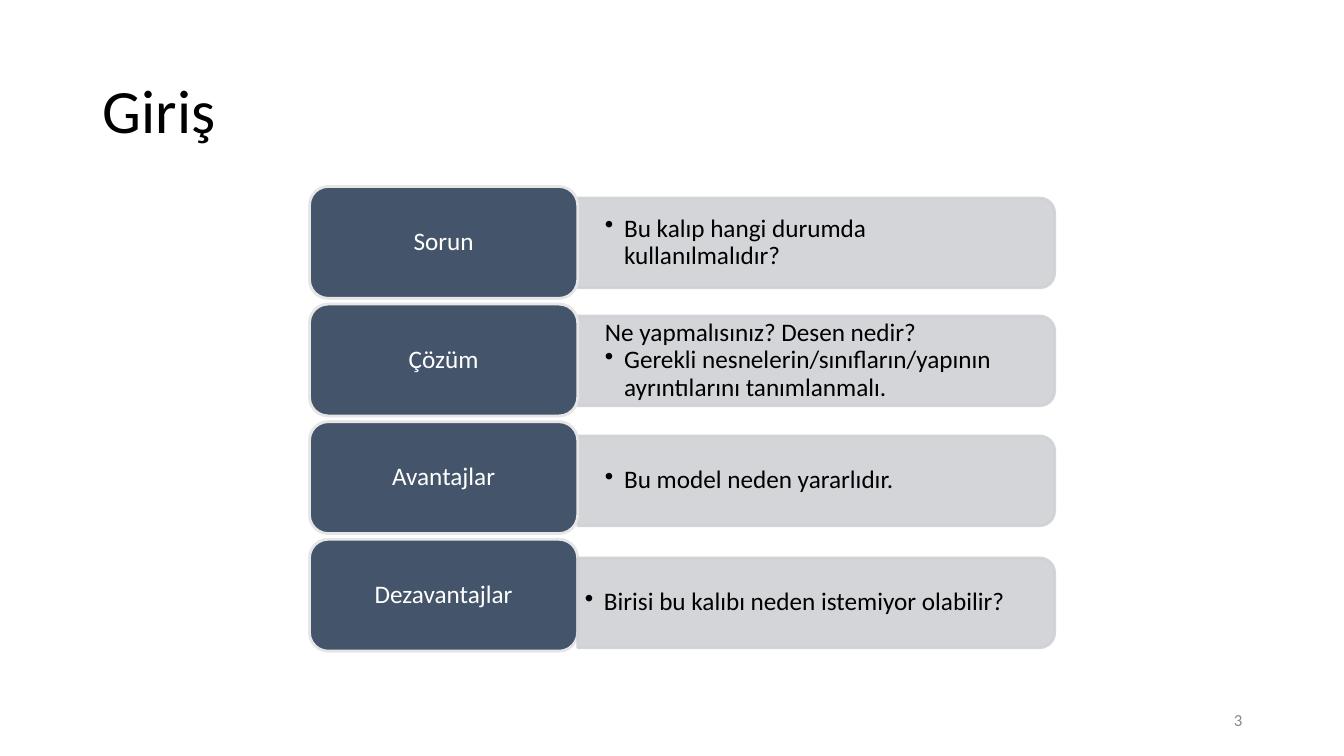
from dataclasses import dataclass

import pptx
import pptx.dml.color
import pptx.enum.shapes
import pptx.enum.text
import pptx.oxml
import pptx.oxml.ns
import pptx.util

Inches = pptx.util.Inches
Pt = pptx.util.Pt
RGB = pptx.dml.color.RGBColor
Kind = pptx.enum.shapes.MSO_SHAPE
Align = pptx.enum.text.PP_ALIGN
Anchor = pptx.enum.text.MSO_ANCHOR
qn = pptx.oxml.ns.qn

BLACK = RGB(0x00, 0x00, 0x00)
WHITE = RGB(0xFF, 0xFF, 0xFF)
GREY = RGB(0x88, 0x88, 0x88)
NAVY = RGB(0x44, 0x54, 0x6A)
PALE = RGB(0xE7, 0xE6, 0xE6)
SILVER = RGB(0xCF, 0xD1, 0xD4)

LABEL_X, LABEL_Y, LABEL_W, LABEL_H = 3.07, 1.85, 2.66, 1.11
PITCH = 3.5 / 3
BAR_X, BAR_W, BAR_H = 5.73, 4.73, 0.89
TEXT_W, TEXT_H = 4.68, 0.8


@dataclass
class Line:
    text: str
    bullet: bool = True


@dataclass
class Row:
    label: str
    lines: list[Line]
    mid: float  # vertical middle of the bar
    pad: tuple[float, float] = (0.27, 0.14)
    front: bool = False  # bar lies over the label


ROWS = [
    Row("Sorun", [Line("Bu kalıp hangi durumda kullanılmalıdır?")], 2.41),
    Row("Çözüm", [
        Line("Ne yapmalısınız? Desen nedir?", False),
        Line("Gerekli nesnelerin/sınıfların/yapının ayrıntılarını tanımlanmalı."),
    ], 3.58),
    Row("Avantajlar", [Line("Bu model neden yararlıdır.")], 4.77),
    Row("Dezavantajlar", [Line("Birisi bu kalıbı neden istemiyor olabilir?")],
        5.98, (0.07, 0.04), True),
]


def apply(item, form: dict) -> None:
    for name, value in form.items():
        setattr(item, name, value)


def set_frame(frame, pad: tuple[float, float] = (0.1, 0.05)) -> None:
    side, edge = map(Inches, pad)
    apply(frame, {
        "word_wrap": True, "vertical_anchor": Anchor.MIDDLE,
        "margin_left": side, "margin_right": side,
        "margin_top": edge, "margin_bottom": edge,
    })


def write(para, text: str, size: int, color: RGB, align=Align.LEFT) -> None:
    apply(para, {"alignment": align, "line_spacing": 0.9})
    run = para.add_run()
    run.text = text
    apply(run.font, {"name": "Calibri", "size": Pt(size)})
    run.font.color.rgb = color


def add_bullet(para) -> None:
    props = para._p.get_or_add_pPr()
    indent = Inches(0.19)
    props.set("marL", str(indent))
    props.set("indent", str(-indent))
    props.append(pptx.oxml.parse_xml(
        '<a:buChar xmlns:a="http://schemas.openxmlformats.org/drawingml/2006/main"'
        ' char="•"/>'))


def paint(shape, fill: RGB, line: RGB) -> None:
    shape.shadow.inherit = False
    shape.fill.solid()
    shape.fill.fore_color.rgb = fill
    shape.line.color.rgb = line
    shape.line.width = Pt(2)


def add_label(slide, row: Row, top: float) -> None:
    label = slide.shapes.add_shape(
        Kind.ROUNDED_RECTANGLE, Inches(LABEL_X), Inches(top),
        Inches(LABEL_W), Inches(LABEL_H))
    paint(label, NAVY, PALE)
    set_frame(label.text_frame, (0.12, 0.1))
    write(label.text_frame.paragraphs[0], row.label, 18, WHITE, Align.CENTER)


def add_bar(slide, row: Row) -> None:
    # An upright shape turned so that its round end faces right
    bar = slide.shapes.add_shape(
        Kind.ROUND_2_SAME_RECTANGLE,
        Inches(BAR_X + (BAR_W - BAR_H) / 2), Inches(row.mid - BAR_W / 2),
        Inches(BAR_H), Inches(BAR_W))
    bar.rotation = 90
    paint(bar, SILVER, SILVER)
    for color in bar._element.spPr.iter(qn("a:srgbClr")):
        alpha = color.makeelement(qn("a:alpha"), {"val": "90000"})
        color.append(alpha)

    box = slide.shapes.add_textbox(
        Inches(BAR_X), Inches(row.mid - TEXT_H / 2),
        Inches(TEXT_W), Inches(TEXT_H))
    frame = box.text_frame
    set_frame(frame, row.pad)
    for i, line in enumerate(row.lines):
        para = frame.add_paragraph() if i else frame.paragraphs[0]
        write(para, line.text, 18, BLACK)
        if line.bullet:
            add_bullet(para)


def main() -> None:
    deck = pptx.Presentation()
    apply(deck, {"slide_width": Inches(13.33), "slide_height": Inches(7.5)})
    slide = deck.slides.add_slide(deck.slide_layouts[5])

    # Title
    title = slide.shapes.title
    apply(title, {"left": Inches(0.92), "top": Inches(0.4),
                  "width": Inches(11.5), "height": Inches(1.45)})
    set_frame(title.text_frame)
    write(title.text_frame.paragraphs[0], "Giriş", 44, BLACK)

    # Labels with their bars
    for i, row in enumerate(ROWS):
        top = LABEL_Y + i * PITCH
        if row.front:
            add_label(slide, row, top)
            add_bar(slide, row)
        else:
            add_bar(slide, row)
            add_label(slide, row, top)

    # Slide number
    number = slide.shapes.add_textbox(
        Inches(9.42), Inches(6.95), Inches(3), Inches(0.4))
    set_frame(number.text_frame)
    write(number.text_frame.paragraphs[0], "3", 12, GREY, Align.RIGHT)

    deck.save("out.pptx")


if __name__ == "__main__":
    main()
